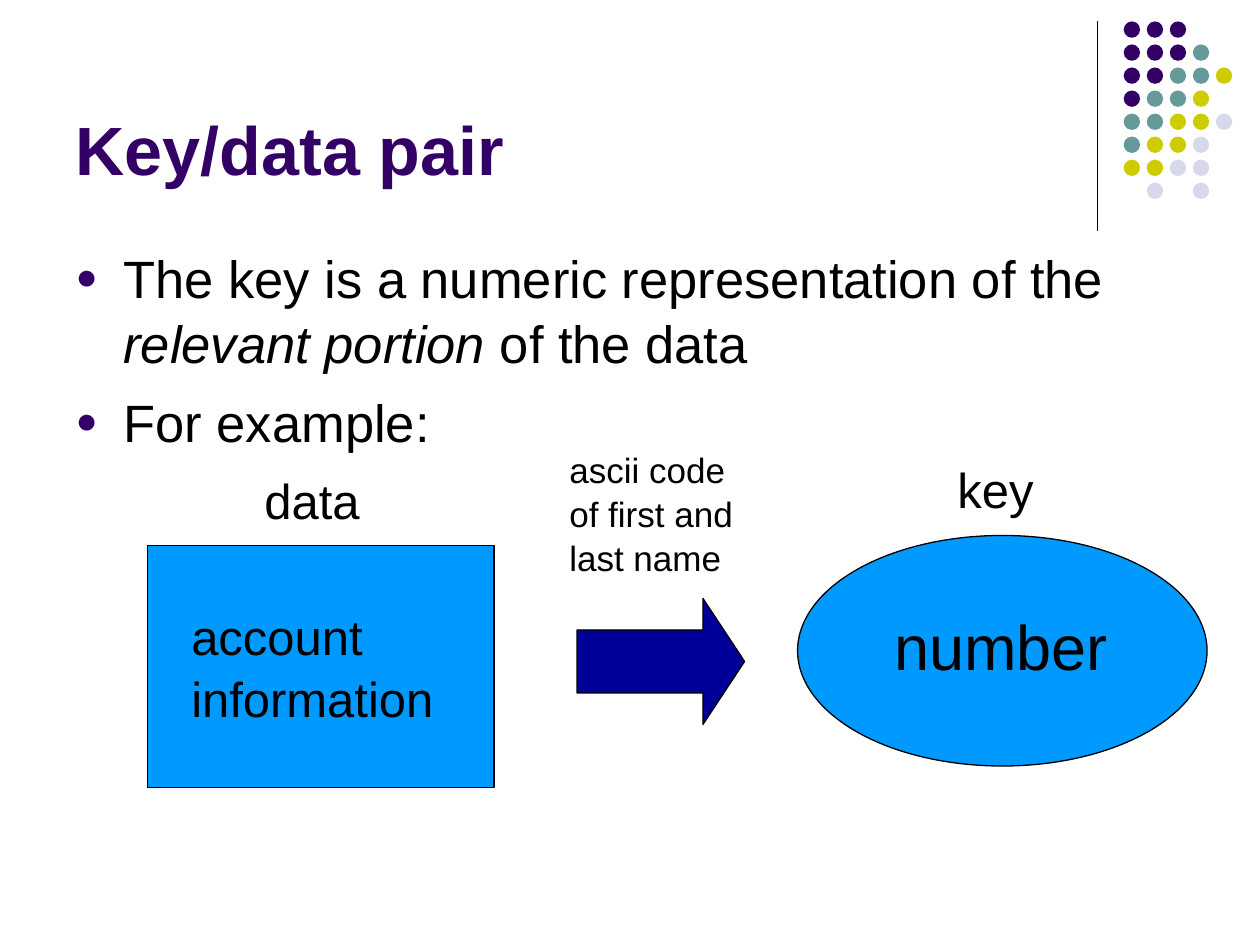
from lxml.etree import SubElement
from pptx import Presentation
from pptx.dml.color import RGBColor
from pptx.enum.shapes import MSO_CONNECTOR, MSO_SHAPE
from pptx.enum.text import MSO_ANCHOR, MSO_AUTO_SIZE, PP_ALIGN
from pptx.oxml.ns import qn
from pptx.util import Inches, Pt

PURPLE, BLACK, BLUE, NAVY = "330066", "000000", "0099FF", "000099"
TINTS = {"p": PURPLE, "t": "669999", "y": "CCCC00", "l": "D8D8EC"}
DOTS = ["ppp", "pppt", "pptty", "ptty", "ttyyl", "tyyl", "yyll", " l l"]


def color(code):
    return RGBColor.from_string(code)


def inches(box):
    return [Inches(n) for n in box]


def assign(obj, vals):
    for name, val in vals.items():
        setattr(obj, name, val)


def place(shape, box):
    assign(shape, dict(zip(("left", "top", "width", "height"), inches(box))))


def write(para, text, size, code=BLACK, **style):
    run = para.add_run()
    run.text = text
    assign(run.font, {"name": "Arial", "size": Pt(size), **style})
    run.font.color.rgb = color(code)


def draw(shapes, kind, box, fill, line=None):
    shape = shapes.add_shape(kind, *inches(box))
    shape.shadow.inherit = False
    shape.fill.solid()
    shape.fill.fore_color.rgb = color(fill)
    if line:
        shape.line.color.rgb = color(line)
        shape.line.width = Pt(0.75)
    else:
        shape.line.fill.background()
    return shape


def label(slide, text, size, box):
    frame = slide.shapes.add_textbox(*inches(box)).text_frame
    frame.word_wrap = True
    para = frame.paragraphs[0]
    para.line_spacing = 1.04
    write(para, text, size)


def corner(slide, box):
    """Vertical rule with a grid of dots to its right."""
    left, top, width, height = box
    rule = slide.shapes.add_connector(
        MSO_CONNECTOR.STRAIGHT, *inches((left, top, left, top + height)))
    rule.line.color.rgb = color(BLACK)
    rule.line.width = Pt(0.75)
    SubElement(rule._element.spPr, qn("a:effectLst"))
    size, gap = 0.13, 1.28 / 7
    start = left + width - size - 4 * gap
    group = slide.shapes.add_group_shape()
    for row, line in enumerate(DOTS):
        for col, key in enumerate(line):
            if key in TINTS:
                spot = (start + col * gap, top + row * gap, size, size)
                draw(group.shapes, MSO_SHAPE.OVAL, spot, TINTS[key])


def heading(slide, box):
    title = slide.shapes.title
    place(title, box)
    frame = title.text_frame
    assign(frame, {"vertical_anchor": MSO_ANCHOR.BOTTOM, "word_wrap": True,
                   "auto_size": MSO_AUTO_SIZE.NONE})
    para = frame.paragraphs[0]
    para.alignment = PP_ALIGN.LEFT
    write(para, "Key/data pair", 39, PURPLE, bold=True)


def bullet(para):
    props = para._p.get_or_add_pPr()
    props.set("marL", str(Inches(0.38)))
    props.set("indent", str(-Inches(0.38)))
    tint = SubElement(props, qn("a:buClr"))
    SubElement(tint, qn("a:srgbClr"), val=PURPLE)
    SubElement(props, qn("a:buSzPct"), val="70000")
    SubElement(props, qn("a:buFont"), typeface="Arial")
    SubElement(props, qn("a:buChar"), char="●")


def points(slide, box):
    body = slide.placeholders[1]
    place(body, box)
    frame = body.text_frame
    assign(frame, {"word_wrap": True, "auto_size": MSO_AUTO_SIZE.NONE})
    items = [[("The key is a numeric representation of the ", False),
              ("relevant portion", True), (" of the data", False)],
             [("For example:", False)]]
    for num, item in enumerate(items):
        para = frame.add_paragraph() if num else frame.paragraphs[0]
        assign(para, {"space_before": Pt(7.5), "line_spacing": 1.04})
        bullet(para)
        for text, slant in item:
            write(para, text, 30, italic=slant)


def mapping(slide, box):
    """Data box, arrow and key oval, each with its caption."""
    left, top, width, height = box
    shapes = slide.shapes
    draw(shapes, MSO_SHAPE.RECTANGLE,
         (left, top + height - 1.92, 2.75, 1.92), BLUE, BLACK)
    draw(shapes, MSO_SHAPE.OVAL,
         (left + width - 3.25, top + 0.75, 3.25, 1.83), BLUE, BLACK)
    arrow = draw(shapes, MSO_SHAPE.RIGHT_ARROW,
                 (left + 3.41, top + 1.25, 1.33, 1), NAVY, BLACK)
    arrow.adjustments[1] = 0.33
    for text, size, x, y, wide, high in (
            ("account information", 28, 0.25, 1.25, 2.33, 1.04),
            ("number", 36, 5.83, 1.25, 2.08, 0.7),
            ("ascii code of first and last name", 20, 3.25, 0, 1.67, 1.1),
            ("data", 28, 0.83, 0.17, 1.92, 0.57),
            ("key", 28, 6.33, 0.08, 1.92, 0.57)):
        label(slide, text, size, (left + x, top + y, wide, high))


def main():
    deck = Presentation()
    assign(deck, {"slide_width": Inches(10), "slide_height": Inches(7.5)})
    slide = deck.slides.add_slide(deck.slide_layouts[1])
    corner(slide, (8.71, 0.17, 1.07, 1.66))
    heading(slide, (0.5, 0.13, 8.25, 1.42))
    points(slide, (0.5, 1.88, 9, 1.79))
    mapping(slide, (1.17, 3.5, 8.41, 2.75))
    deck.save("out.pptx")


if __name__ == "__main__":
    main()
